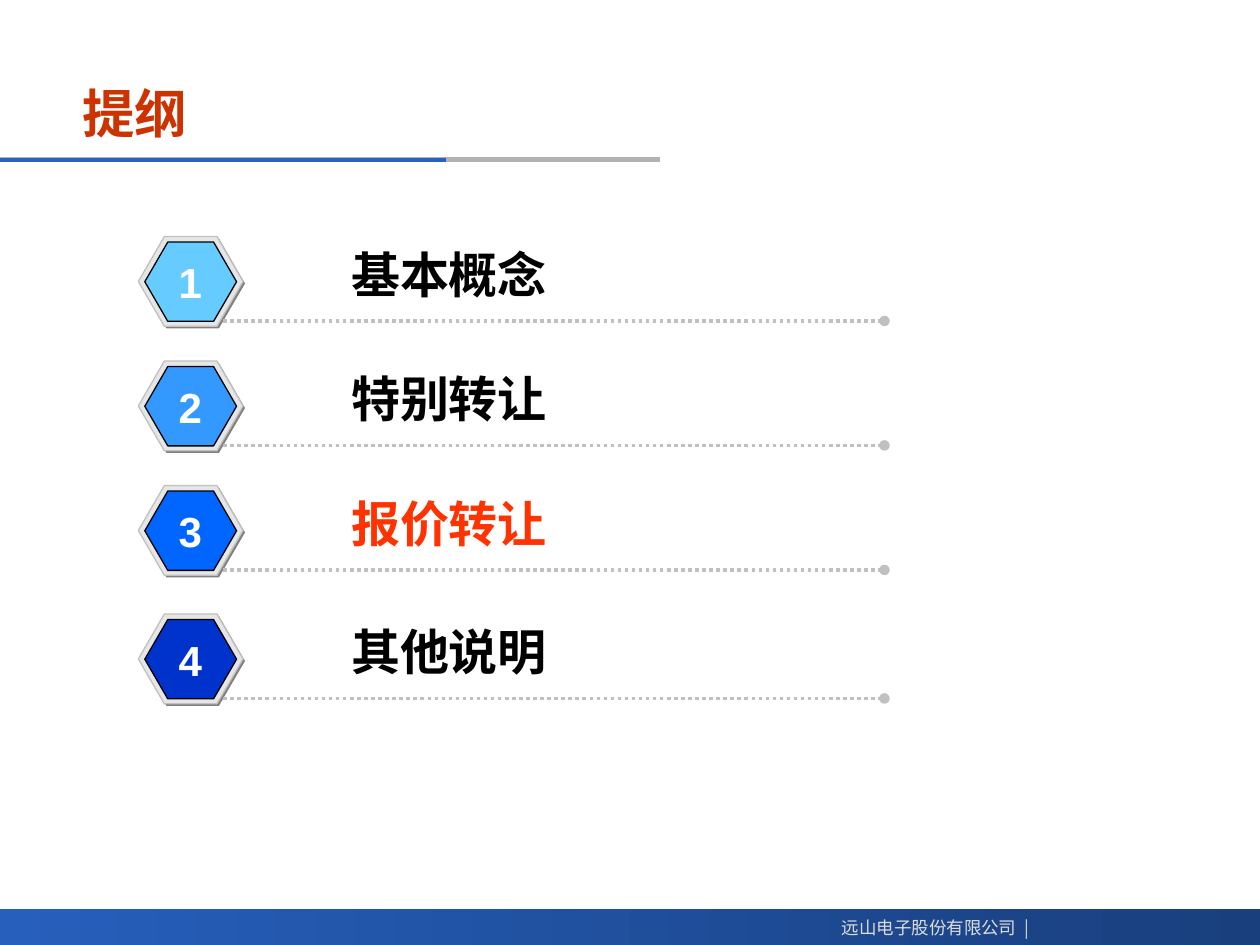
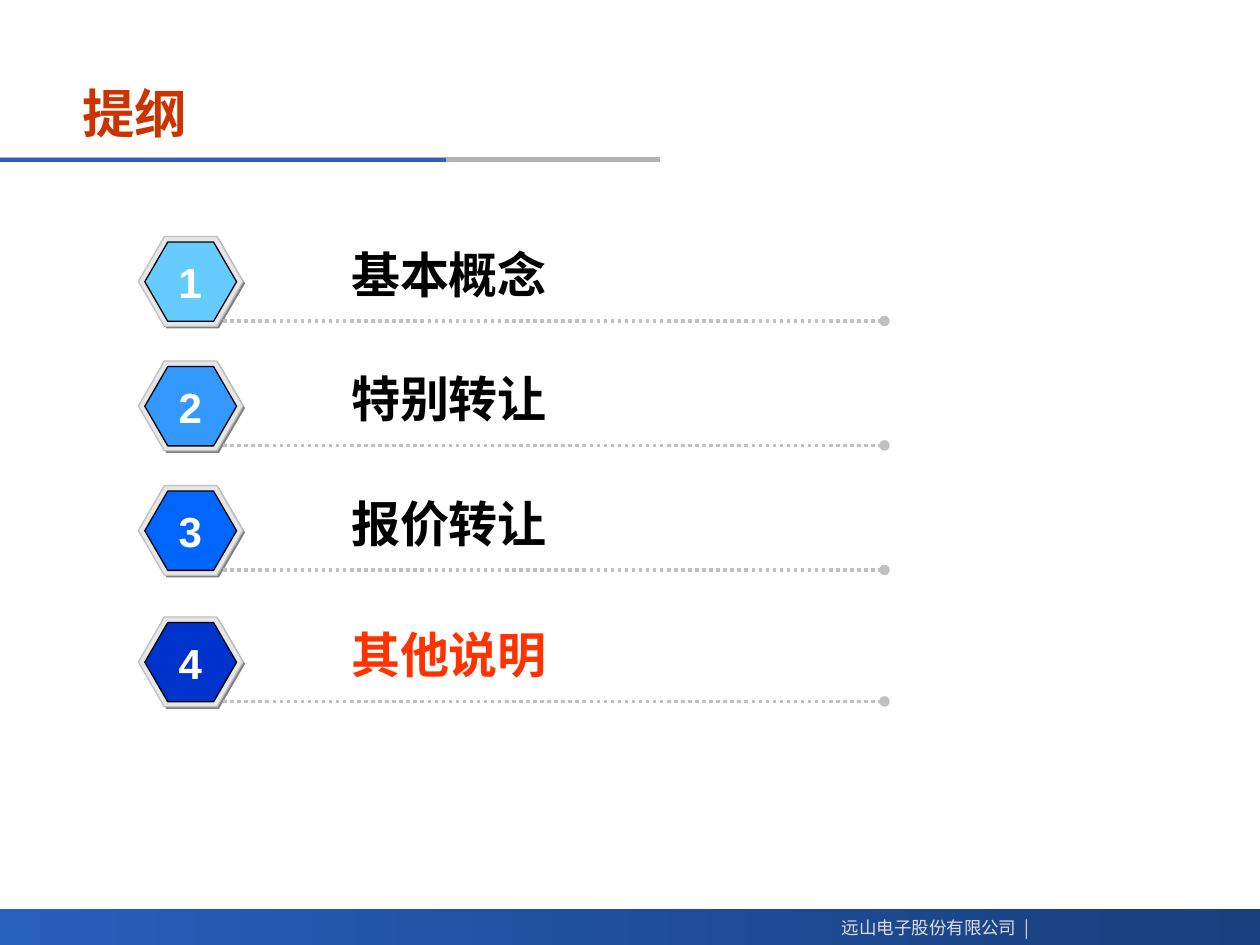
import pptx
import pptx.util
import pptx.dml.color
import pptx.enum.dml
import pptx.enum.shapes
import pptx.enum.text
import pptx.oxml

Cm, Pt = pptx.util.Cm, pptx.util.Pt
Shape = pptx.enum.shapes.MSO_SHAPE
Align = pptx.enum.text.PP_ALIGN
rgb = pptx.dml.color.RGBColor.from_string

# Shared colours and agenda
RED, HOT = "CC3300", "FF3300"
BLUE, GREY, DOTS = "2A60C0", "B2B2B2", "C0C0C0"
BAND = ["265FBC", "193F7D"]
FACES = ["66CCFF", "3399FF", "0066FF", "0033CC"]
TOPICS = ["基本概念", "特别转让", "报价转让", "其他说明"]
TOP, STEP = 4.77, 2.51

# Each slide: the marked topic, and how far the last row drops
SLIDES = [("报价转让", 0.08), ("其他说明", 0.14)]


def add_text(shapes, box, words, size, color, align=Align.LEFT, font="Arial", bold=True):
    label = shapes.add_textbox(*map(Cm, box))
    frame = label.text_frame
    frame.word_wrap = False
    frame.auto_size = pptx.enum.text.MSO_AUTO_SIZE.SHAPE_TO_FIT_TEXT
    para = frame.paragraphs[0]
    para.text = words
    para.alignment = align
    para.font.name, para.font.size, para.font.bold = font, Pt(size), bold
    para.font.color.rgb = rgb(color)


def add_line(shapes, left, right, y, color, width, dotted=False):
    rule = shapes.add_connector(pptx.enum.shapes.MSO_CONNECTOR.STRAIGHT,
                                Cm(left), Cm(y), Cm(right), Cm(y))
    rule.line.color.rgb = rgb(color)
    rule.line.width = Pt(width)
    props = rule.element.spPr
    ns = pptx.oxml.ns.nsdecls("a")
    if dotted:
        rule.line.dash_style = pptx.enum.dml.MSO_LINE.ROUND_DOT
        end = pptx.oxml.parse_xml(f'<a:tailEnd {ns} type="oval"/>')
        props.find(pptx.oxml.ns.qn("a:ln")).append(end)
    props.append(pptx.oxml.parse_xml(f"<a:effectLst {ns}/>"))


deck = pptx.Presentation()
deck.slide_width, deck.slide_height = Cm(25.4), Cm(19.05)

for marked, drop in SLIDES:
    slide = deck.slides.add_slide(deck.slide_layouts[5])

    # Footer band
    band = slide.shapes.add_shape(Shape.RECTANGLE, 0, Cm(18.33), Cm(25.4), Cm(0.72))
    band.shadow.inherit = False
    band.line.fill.background()
    band.fill.gradient()
    band.fill.gradient_angle = 0
    for stop, color in zip(band.fill.gradient_stops, BAND):
        stop.color.rgb = rgb(color)
    add_text(slide.shapes, (16.54, 18.36, 4.45, 0.69), "远山电子股份有限公司  |",
             10, "DDDDDD", Align.RIGHT, "Noto Sans CJK SC", False)

    # Title and its rule
    add_line(slide.shapes, 0, 13.3, 3.22, GREY, 3)
    add_line(slide.shapes, 0, 9, 3.22, BLUE, 2.25)
    title = slide.shapes.title
    title.left, title.top, title.width, title.height = map(Cm, (1.4, 1.42, 17.58, 1.7))
    title.text_frame.vertical_anchor = pptx.enum.text.MSO_ANCHOR.MIDDLE
    para = title.text_frame.paragraphs[0]
    para.text = "提纲"
    para.alignment = Align.LEFT
    para.font.name, para.font.size, para.font.bold = "Arial", Pt(30), True
    para.font.color.rgb = rgb(RED)

    # Agenda rows
    for row, (topic, face) in enumerate(zip(TOPICS, FACES)):
        top = TOP + STEP * row + (drop if topic == TOPICS[-1] else 0)
        shapes = slide.shapes.add_group_shape().shapes

        # Shade, rim and face of the badge
        for left, down, width, height, fill, edge in [
                (2.83, 0.04, 2.11, 1.81, "808080", None),
                (2.79, 0, 2.11, 1.81, "E6E6E6", DOTS),
                (2.92, 0.11, 1.85, 1.6, face, "000000")]:
            badge = shapes.add_shape(Shape.HEXAGON, Cm(left), Cm(top + down),
                                     Cm(width), Cm(height))
            badge.shadow.inherit = False
            badge.adjustments[0] = 0.29
            badge.fill.solid()
            badge.fill.fore_color.rgb = rgb(fill)
            if edge:
                badge.line.color.rgb = rgb(edge)
                badge.line.width = Pt(0.75)
            else:
                badge.line.fill.background()

        add_line(shapes, 4.5, 17.83, top + 1.7, DOTS, 2, dotted=True)
        add_text(shapes, (6.83, top + 0.03, 4.45, 1.45), topic, 28,
                 HOT if topic == marked else "000000")
        add_text(shapes, (3.35, top + 0.28, 0.97, 1.27), str(row + 1), 24,
                 "FFFFFF", Align.CENTER)

deck.save("out.pptx")
